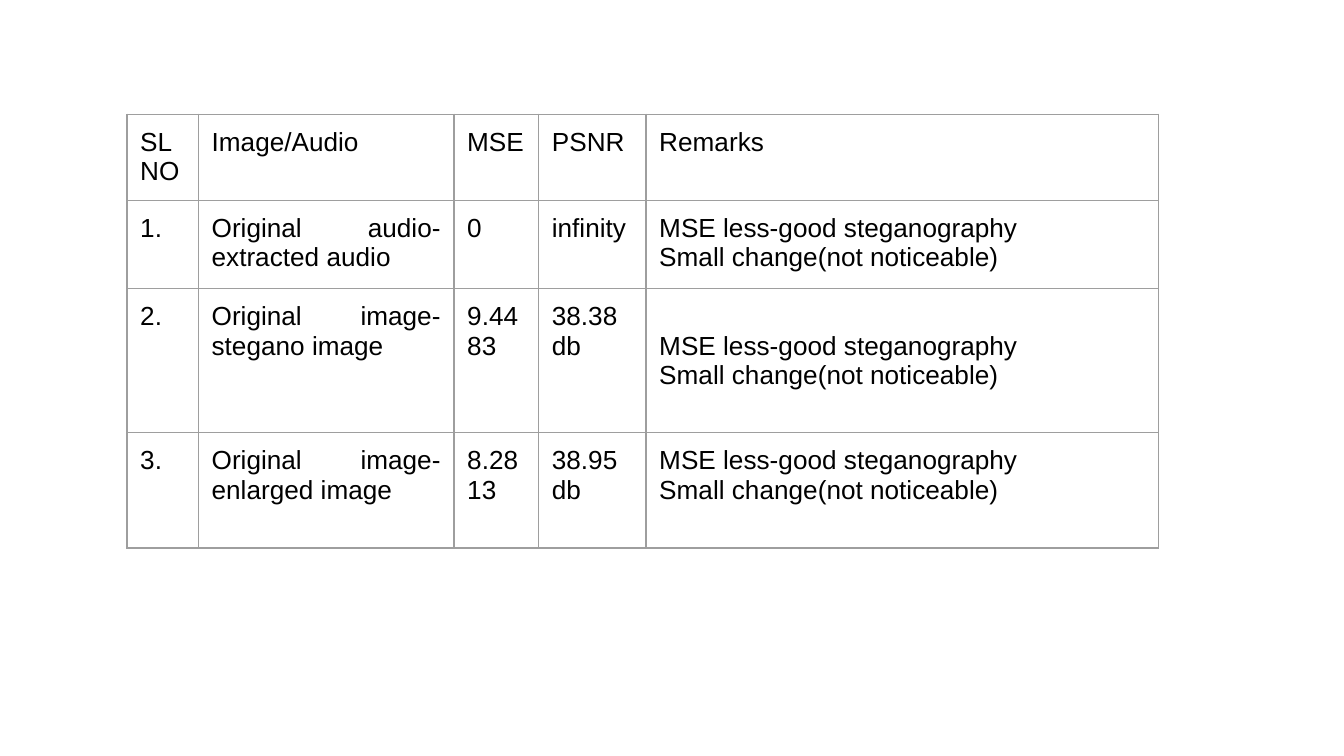
from dataclasses import dataclass

from lxml.etree import SubElement
from pptx import Presentation
from pptx.dml.color import RGBColor as RGB
from pptx.enum.text import PP_ALIGN as Align
from pptx.oxml.ns import qn
from pptx.table import _Cell as Cell
from pptx.util import Cm, Pt

COLORS = {"text": "000000", "border": "9E9E9E"}
COLUMN_WIDTHS = (1.35, 4.83, 1.6, 2.03, 9.68)
MARGIN = 0.25
REMARKS = "MSE less-good steganography\nSmall change(not noticeable)"


@dataclass
class Row:
    height: float
    texts: tuple[str, ...]
    remarks_offset: float = 0


ROWS = (
    Row(1.63, ("SL NO", "Image/Audio", "MSE", "PSNR", "Remarks")),
    Row(1.67, ("1.", "Original audio-extracted audio", "0", "infinity", REMARKS)),
    Row(2.72, ("2.", "Original image-stegano image", "9.4483", "38.38 db", REMARKS), 0.56),
    Row(2.18, ("3.", "Original image-enlarged image", "8.2813", "38.95 db", REMARKS)),
)


def add_borders(cell: Cell) -> None:
    """Draw a thin line on all four sides; lines must precede the fill."""
    tcPr = cell._tc.get_or_add_tcPr()
    for i, side in enumerate(("a:lnL", "a:lnR", "a:lnT", "a:lnB")):
        ln = SubElement(tcPr, qn(side), w=str(Pt(0.75)))
        fill = SubElement(ln, qn("a:solidFill"))
        SubElement(fill, qn("a:srgbClr"), val=COLORS["border"])
        tcPr.insert(i, ln)


def fill_cell(cell: Cell, text: str, offset: float = 0) -> None:
    cell.fill.background()
    add_borders(cell)
    cell.margin_left = cell.margin_right = cell.margin_bottom = Cm(MARGIN)
    cell.margin_top = Cm(MARGIN + offset)
    cell.text = text
    for p in cell.text_frame.paragraphs:
        p.alignment = Align.JUSTIFY
        p.font.name = "Arial"
        p.font.size = Pt(14)
        p.font.color.rgb = RGB.from_string(COLORS["text"])


def main() -> None:
    prs = Presentation()
    prs.slide_width, prs.slide_height = Cm(25.4), Cm(14.29)
    s = prs.slides.add_slide(prs.slide_layouts[6])

    # Results table
    table = s.shapes.add_table(
        len(ROWS), len(COLUMN_WIDTHS), Cm(2.4), Cm(2.16),
        Cm(sum(COLUMN_WIDTHS)), Cm(sum(row.height for row in ROWS)),
    ).table
    table.first_row = table.horz_banding = False
    for column, width in zip(table.columns, COLUMN_WIDTHS):
        column.width = Cm(width)

    # Cells
    last = len(COLUMN_WIDTHS) - 1
    for r, row in enumerate(ROWS):
        table.rows[r].height = Cm(row.height)
        for c, text in enumerate(row.texts):
            fill_cell(table.cell(r, c), text, row.remarks_offset if c == last else 0)

    prs.save("out.pptx")


if __name__ == "__main__":
    main()
